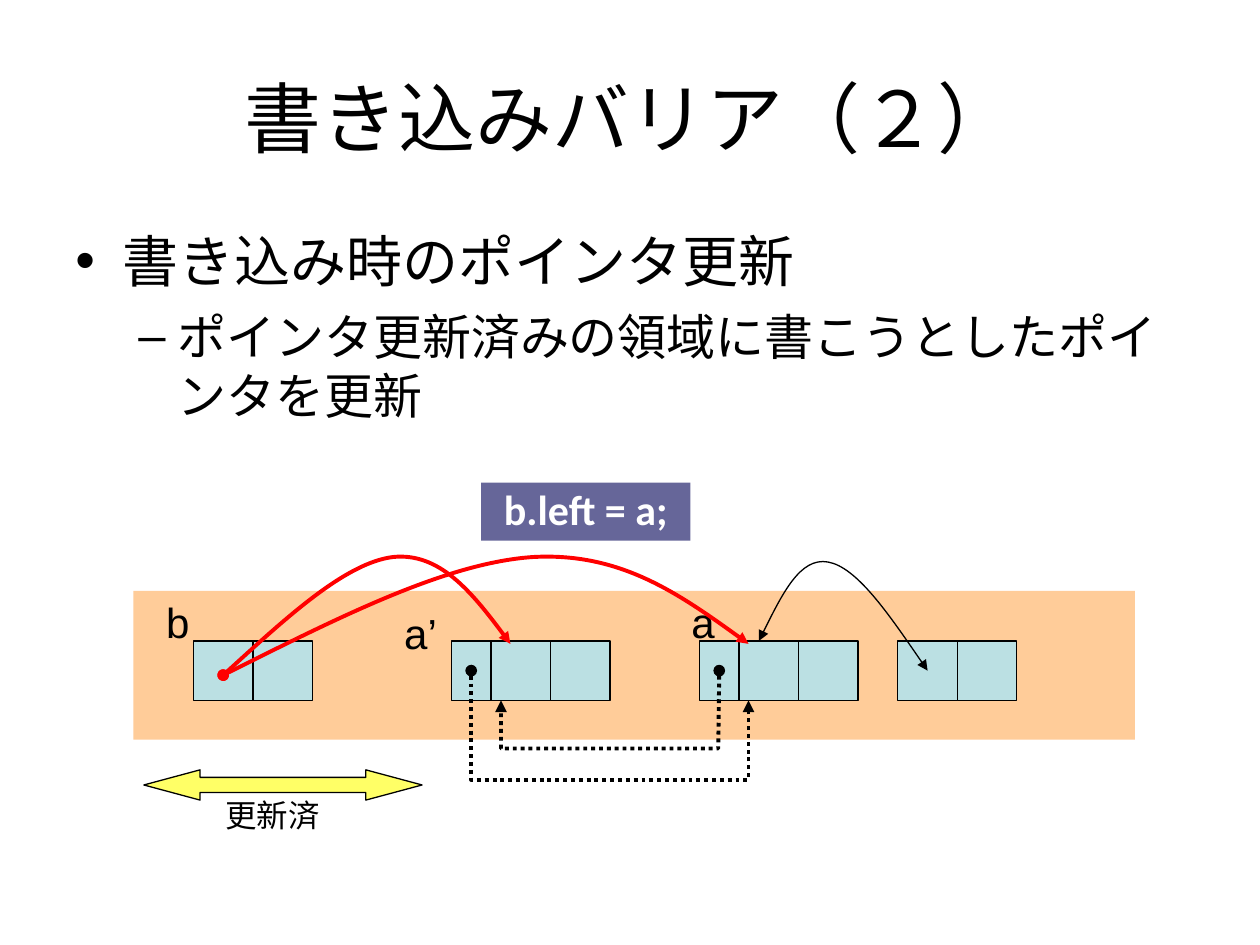
import pptx
import pptx.util
import pptx.dml.color
import pptx.enum.dml
import pptx.enum.shapes
import pptx.enum.text
import pptx.oxml
import pptx.oxml.ns

Cm, Pt = pptx.util.Cm, pptx.util.Pt
Kind = pptx.enum.shapes.MSO_SHAPE
Fit = pptx.enum.text.MSO_AUTO_SIZE
Anchor = pptx.enum.text.MSO_ANCHOR
Align = pptx.enum.text.PP_ALIGN
qn = pptx.oxml.ns.qn

# Content (lengths in cm)
TITLE = "書き込みバリア（２）"
BODY = [  # text, size, bullet, left margin, hanging indent, space before
    ("書き込み時のポインタ更新", "head", "•", 0.95, 0.95, 8),
    ("ポインタ更新済みの領域に書こうとしたポインタを更新", "sub", "–", 2.06, 0.79, 7),
]
CODE = "b.left = a;"
HEAP = (2.69, 11.91, 20.19, 3.0)
DONE = (2.9, 15.52, 5.61, 0.61)
ROW, CELL, HEAD = 12.92, 1.2, 0.8
NODES = [(3.9, False), (9.1, True), (14.1, True), (18.1, False)]  # left, has header
LABELS = [  # text, box, size
    ("a’", (7.9, 12.12, 2.0, 1.27), "label"),
    ("a", (13.69, 11.91, 1.0, 1.27), "label"),
    ("b", (3.1, 11.91, 2.0, 1.27), "label"),
    ("更新済", (4.29, 15.93, 2.41, 1.02), "note"),
]
LINKS = [  # points, curved, colour, width, dotted, start mark
    ([(18.7, 13.52), (17.98, 12.47), (17.27, 11.43), (16.69, 11.33),
      (16.13, 11.23), (15.72, 12.07), (15.3, 12.92)], True, "ink", 0.75, False, "triangle"),
    ([(14.5, 13.52), (14.48, 15.09), (10.1, 15.09), (10.1, 14.12)],
     False, "ink", 2.25, True, "oval"),
    ([(9.5, 13.52), (9.5, 15.72), (15.09, 15.72), (15.09, 14.12)],
     False, "ink", 2.25, True, "oval"),
    ([(4.5, 13.61), (5.72, 12.5), (6.96, 11.35), (7.92, 11.23),
      (8.86, 11.13), (9.6, 12.04), (10.29, 12.98)], True, "red", 2.25, False, "oval"),
    ([(4.5, 13.61), (6.73, 12.5), (8.97, 11.35), (10.74, 11.23),
      (12.5, 11.13), (13.79, 12.04), (15.09, 12.98)], True, "red", 2.25, False, "oval"),
]

THEME = {
    "font": "Arial", "code font": "Calibri",
    "ink": "000000", "red": "FF0000", "white": "FFFFFF", "heap": "FFCC99",
    "cell": "BBE0E3", "done": "FFFF66", "code": "666699",
    "size": {"title": 44, "head": 32, "sub": 28, "label": 24, "note": 18},
}


def tint(name):
    return pptx.dml.color.RGBColor.from_string(THEME[name])


def style(para, size, color="ink", font="font"):
    para.font.name = THEME[font]
    para.font.size = Pt(THEME["size"][size])
    para.font.color.rgb = tint(color)


def block(slide, kind, box, fill, line=True):
    shape = slide.shapes.add_shape(kind, *map(Cm, box))
    shape.shadow.inherit = False
    shape.fill.solid()
    shape.fill.fore_color.rgb = tint(fill)
    if line:
        shape.line.color.rgb = tint("ink")
        shape.line.width = Pt(0.75)
    else:
        shape.line.fill.background()
    return shape


def note(slide, text, box, size):
    frame = slide.shapes.add_textbox(*map(Cm, box)).text_frame
    frame.word_wrap = True
    frame.text = text
    style(frame.paragraphs[0], size)


def bullet(para, mark, left, hang):
    props = para._p.get_or_add_pPr()
    props.set("marL", str(Cm(left)))
    props.set("indent", str(-Cm(hang)))
    pptx.oxml.ns  # namespace map used by the helpers below
    props.append(props.makeelement(qn("a:buFont"), {"typeface": THEME["font"]}))
    props.append(props.makeelement(qn("a:buChar"), {"char": mark}))


def bend(shape):
    """Turn each three line steps into one cubic curve."""
    track = shape._element.find(".//" + qn("a:path"))
    steps = track.findall(qn("a:lnTo"))
    for i in range(0, len(steps), 3):
        curve = track.makeelement(qn("a:cubicBezTo"), {})
        track.insert(track.index(steps[i]), curve)
        for step in steps[i:i + 3]:
            curve.append(step[0])
            track.remove(step)


def link(slide, points, curved, color, width, dotted, start):
    spots = [(Cm(x), Cm(y)) for x, y in points]
    build = slide.shapes.build_freeform(*spots[0])
    build.add_line_segments(spots[1:], close=False)
    shape = build.convert_to_shape()
    shape.shadow.inherit = False
    shape.fill.background()
    shape.line.color.rgb = tint(color)
    shape.line.width = Pt(width)
    if dotted:
        shape.line.dash_style = pptx.enum.dml.MSO_LINE.ROUND_DOT
    if curved:
        bend(shape)
    line = shape.line._get_or_add_ln()
    for tag, mark in (("a:headEnd", start), ("a:tailEnd", "triangle")):
        line.append(line.makeelement(qn(tag), {"type": mark}))


def main():
    deck = pptx.Presentation()
    deck.slide_width, deck.slide_height = Cm(25.4), Cm(19.05)
    slide = deck.slides.add_slide(deck.slide_layouts[5])

    # Title
    title = slide.shapes.title
    title.left, title.top, title.width, title.height = map(Cm, (1.27, 0.76, 22.86, 3.18))
    title.text_frame.text = TITLE
    title.text_frame.auto_size = Fit.NONE
    title.text_frame.vertical_anchor = Anchor.MIDDLE
    title.text_frame.paragraphs[0].alignment = Align.CENTER
    style(title.text_frame.paragraphs[0], "title")

    # Bulleted text
    frame = slide.shapes.add_textbox(*map(Cm, (1.27, 4.45, 22.86, 12.57))).text_frame
    frame.word_wrap = True
    for i, (text, size, mark, left, hang, gap) in enumerate(BODY):
        para = frame.add_paragraph() if i else frame.paragraphs[0]
        para.text = text
        para.level = i
        para.space_before = Pt(gap)
        style(para, size)
        bullet(para, mark, left, hang)

    # Heap and its nodes
    block(slide, Kind.RECTANGLE, HEAP, "heap", line=False)
    for left, header in NODES:
        for wide in [HEAD] * header + [CELL] * 2:
            block(slide, Kind.RECTANGLE, (left, ROW, wide, CELL), "cell")
            left += wide

    # Updated range
    arrow = block(slide, Kind.LEFT_RIGHT_ARROW, DONE, "done")
    arrow.adjustments[0], arrow.adjustments[1] = 0.5, 1.86

    # Labels and pointers
    for item in LABELS:
        note(slide, *item)
    for item in LINKS:
        link(slide, *item)

    # Code line
    frame = block(slide, Kind.RECTANGLE, (9.7, 9.73, 4.22, 1.17), "code", line=False).text_frame
    frame.text = CODE
    frame.word_wrap = False
    frame.vertical_anchor = Anchor.TOP
    frame.margin_left = frame.margin_right = Cm(0.46)
    para = frame.paragraphs[0]
    para.alignment = Align.LEFT
    para.line_spacing = 0.9
    para.space_before = Pt(6)
    style(para, "label", "white", "code font")
    para.font.bold = True

    deck.save("out.pptx")


if __name__ == "__main__":
    main()
